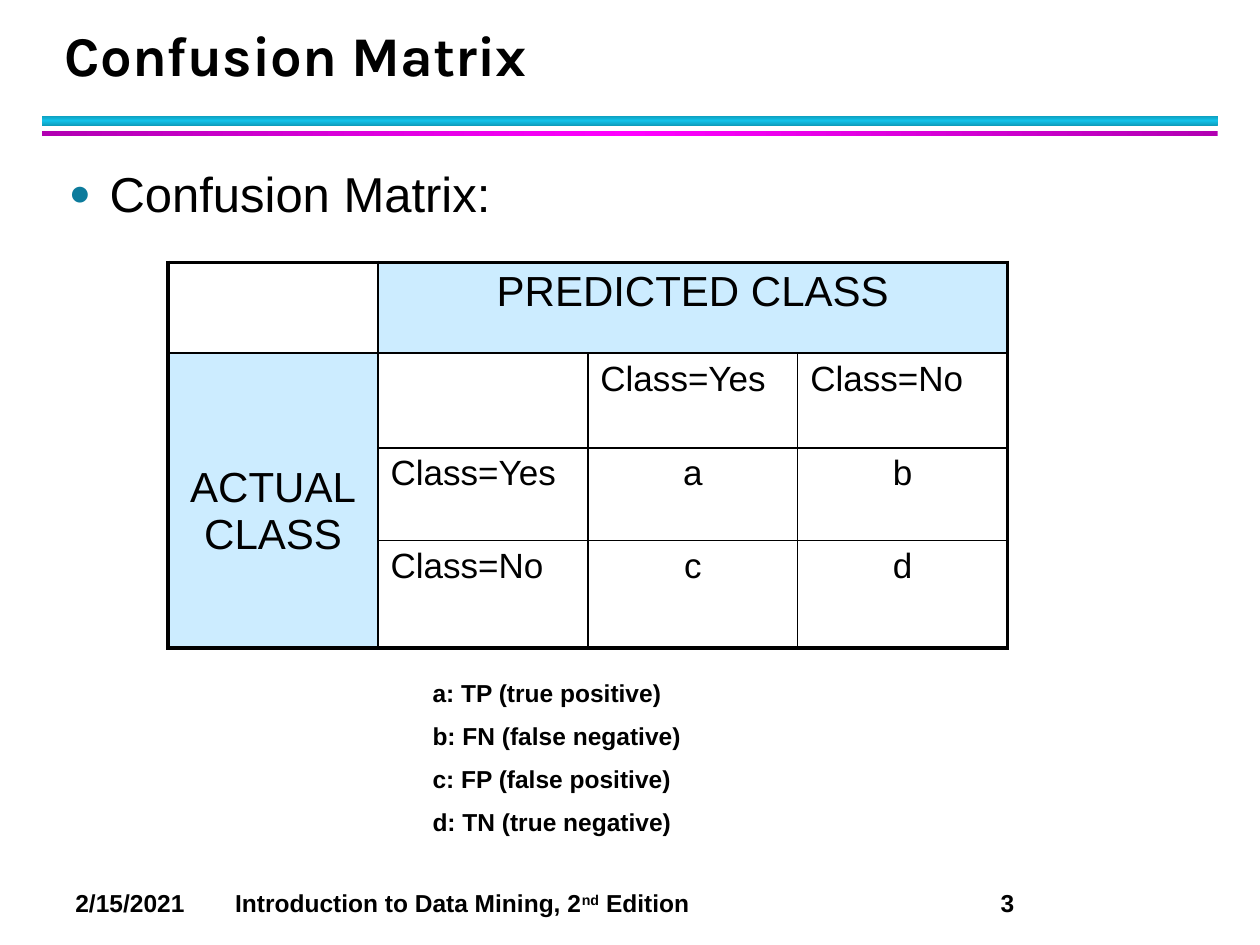
"""Build the confusion matrix slide."""
from dataclasses import dataclass

from pptx import Presentation, util as u
from pptx.dml.color import RGBColor
from pptx.enum import shapes, text
from pptx.oxml import parse_xml
from pptx.oxml.ns import nsdecls
from pptx.slide import Slide


def colour(value):
    return RGBColor.from_string(value)


def element(tag, content="", attributes=""):
    return parse_xml(f"<a:{tag} {nsdecls('a')} {attributes}>{content}</a:{tag}>")


def solid(value):
    return f'<a:solidFill><a:srgbClr val="{value}"/></a:solidFill>'


@dataclass
class SlideBuilder:
    slide: Slide
    font: str = "Arial"
    ink: str = "000000"
    header: str = "CCECFF"
    thin: float = 1
    thick: float = 2.25

    def style(self, paragraph, size, bold=False, font=None):
        paragraph.font.size = u.Pt(size)
        paragraph.font.bold = bold
        paragraph.font.name = font or self.font
        paragraph.font.color.rgb = colour(self.ink)

    def bar(self, top, height, edge, middle, angle):
        shape = self.slide.shapes.add_shape(
            shapes.MSO_SHAPE.RECTANGLE, u.Cm(0.85), u.Cm(top), u.Cm(23.7), u.Cm(height))
        shape.shadow.inherit = False
        shape.line.fill.background()
        shape.fill.gradient()
        shape.fill.gradient_angle = angle
        stops = shape._element.spPr.find(".//{*}gsLst")
        for stop in list(stops):
            stops.remove(stop)
        for position, value in ((0, edge), (50000, middle), (100000, edge)):
            stops.append(element("gs", f'<a:srgbClr val="{value}"/>', f'pos="{position}"'))

    def text(self, box, lines, size, bold=False, font=None, gap=0,
             anchor=text.MSO_ANCHOR.TOP):
        shape = self.slide.shapes.add_textbox(*map(u.Cm, box))
        frame = shape.text_frame
        frame.word_wrap = True
        frame.vertical_anchor = anchor
        for index, line in enumerate(lines):
            paragraph = frame.add_paragraph() if index else frame.paragraphs[0]
            paragraph.text = line
            paragraph.space_before = u.Pt(gap)
            self.style(paragraph, size, bold, font)
        return frame.paragraphs[0]

    def bullet(self, paragraph, indent, value):
        properties = paragraph._p.get_or_add_pPr()
        properties.set("marL", str(u.Cm(indent)))
        properties.set("indent", str(-u.Cm(indent)))
        marks = (element("buClr", f'<a:srgbClr val="{value}"/>'),
                 element("buSzPct", attributes='val="75000"'),
                 element("buFont", attributes=f'typeface="{self.font}"'),
                 element("buChar", attributes='char="●"'))
        for position, mark in enumerate(marks, len(properties.findall("{*}spcBef"))):
            properties.insert(position, mark)

    def tabs(self, paragraph, *positions):
        stops = "".join(f'<a:tab pos="{u.Cm(position)}" algn="l"/>' for position in positions)
        properties = paragraph._p.get_or_add_pPr()
        properties.insert(len(properties.findall("{*}spcBef")), element("tabLst", stops))

    def borders(self, cell, outer):
        properties = cell._tc.get_or_add_tcPr()
        for position, (tag, is_outer) in enumerate(zip(("lnL", "lnR", "lnT", "lnB"), outer)):
            width = u.Pt(self.thick if is_outer else self.thin)
            properties.insert(position, element(tag, solid(self.ink), f'w="{width}"'))

    def matrix(self, left, top, column_width, heights, rows):
        count, width = len(rows), len(rows[0])
        table = self.slide.shapes.add_table(
            count, width, u.Cm(left), u.Cm(top),
            u.Cm(column_width * width), u.Cm(sum(heights))).table
        table.first_row = table.horz_banding = False
        for column in table.columns:
            column.width = u.Cm(column_width)
        for row, height in zip(table.rows, heights):
            row.height = u.Cm(height)
        predicted, actual = table.cell(0, 1), table.cell(1, 0)
        predicted.merge(table.cell(0, width - 1))
        actual.merge(table.cell(count - 1, 0))
        for r, row in enumerate(rows):
            for c, label in enumerate(row):
                cell = table.cell(r, c)
                is_header = bool(label) and 0 in (r, c)
                is_value = r > 1 and c > 1
                cell.text = label
                for paragraph in cell.text_frame.paragraphs:
                    self.style(paragraph, 24 if is_header else 20)
                    if is_header or is_value:
                        paragraph.alignment = text.PP_ALIGN.CENTER
                if is_header:
                    cell.fill.solid()
                    cell.fill.fore_color.rgb = colour(self.header)
                else:
                    cell.fill.background()
                self.borders(cell, (c == 0, c + cell.span_width == width,
                                    r == 0, r + cell.span_height == count))
        actual.margin_top = u.Cm(2.24)


def main():
    presentation = Presentation()
    presentation.slide_width, presentation.slide_height = u.Cm(25.4), u.Cm(19.05)
    builder = SlideBuilder(presentation.slides.add_slide(presentation.slide_layouts[6]))

    builder.bar(2.33, 0.21, "0E9BBA", "12C2E9", 90)
    builder.bar(2.65, 0.1, "B200B2", "FF00FF", 0)

    title = builder.text((1.06, 0.42, 23.02, 1.48), ["Confusion Matrix"], 32, True,
                         "Karla", anchor=text.MSO_ANCHOR.BOTTOM)
    title.line_spacing = u.Pt(36)
    heading = builder.text((1.14, 3.18, 23.11, 1.5), ["Confusion Matrix:"], 28)
    builder.bullet(heading, 0.82, "0C7B9C")

    builder.matrix(3.39, 5.29, 4.23, (1.83, 1.91, 1.87, 2.16), (
        ("", "PREDICTED CLASS", "", ""),
        ("ACTUAL\vCLASS", "", "Class=Yes", "Class=No"),
        ("", "Class=Yes", "a", "b"),
        ("", "Class=No", "c", "d")))

    builder.text((8.47, 13.55, 6.15, 3.5), (
        "a: TP (true positive)", "b: FN (false negative)",
        "c: FP (false positive)", "d: TN (true negative)"), 14, True, gap=7.7)

    footer = builder.text((1.27, 17.78, 23.7, 0.86),
                          ["2/15/2021\tIntroduction to Data Mining, 2"], 14, True)
    ordinal = footer.add_run()
    ordinal.text = "nd"
    ordinal._r.get_or_add_rPr().set("baseline", "30000")
    footer.add_run().text = " Edition\t3"
    builder.tabs(footer, 3.22, 18.65)

    presentation.save("out.pptx")


if __name__ == "__main__":
    main()
